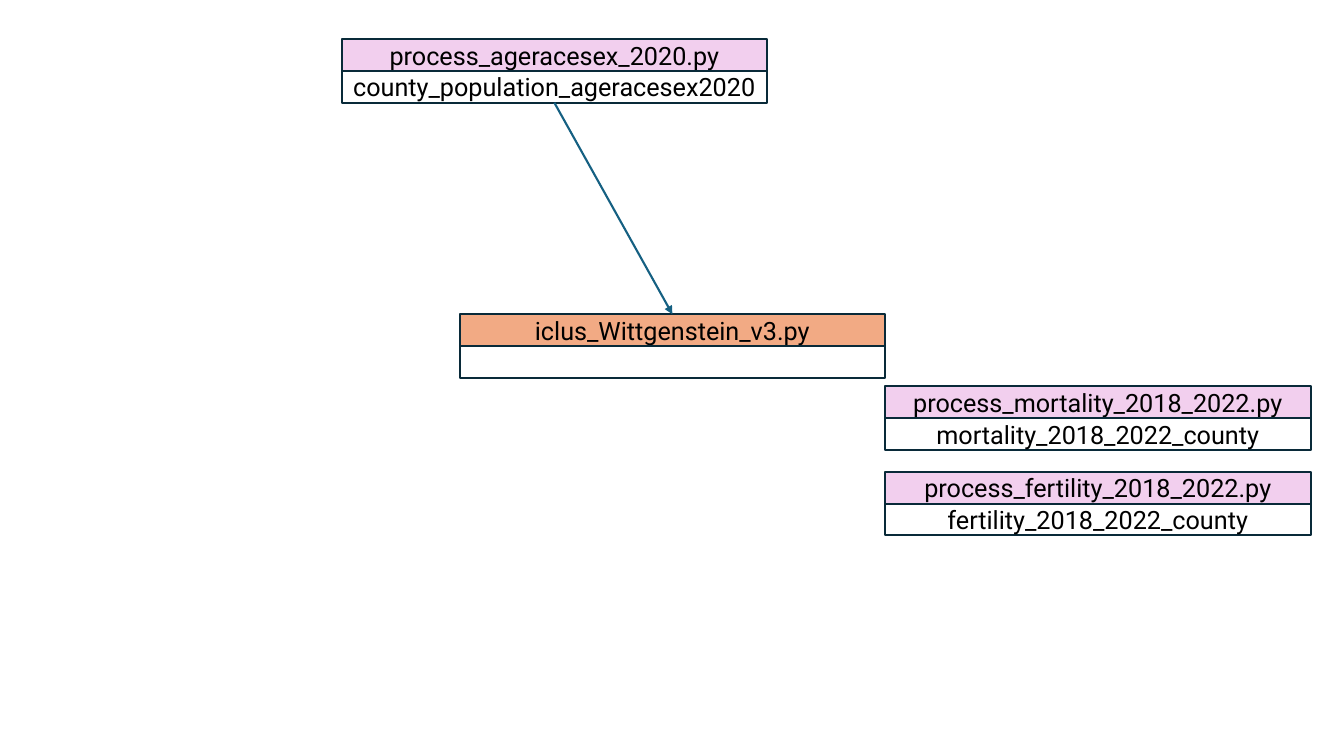
from typing import NamedTuple

from lxml import etree
from pptx import Presentation
from pptx.dml.color import RGBColor
from pptx.enum.shapes import MSO_CONNECTOR, MSO_SHAPE
from pptx.enum.text import MSO_ANCHOR, PP_ALIGN
from pptx.oxml.ns import qn
from pptx.shapes.autoshape import Shape
from pptx.shapes.connector import Connector
from pptx.shapes.shapetree import GroupShapes, SlideShapes
from pptx.util import Pt

RECT = MSO_SHAPE.RECTANGLE
STRAIGHT = MSO_CONNECTOR.STRAIGHT
MIDDLE = MSO_ANCHOR.MIDDLE
CENTER = PP_ALIGN.CENTER
TOP, BOTTOM = 0, 2

FONT = "Roboto"
FONT_SIZE = 18
LINE_WIDTH = 1.5
BOX_WIDTH = 304
ROW_HEIGHT = 22.7

BLACK = "000000"
OUTLINE = "092A39"
ARROW = "156082"
PINK = "F2CFEE"
ORANGE = "F2AA84"


class ScriptBox(NamedTuple):
    left: float
    top: float
    script: str
    output: str
    fill: str


POPULATION = ScriptBox(244, 28, "process_ageracesex_2020.py",
                       "county_population_ageracesex2020", PINK)
MODEL = ScriptBox(328.3, 224.5, "iclus_Wittgenstein_v3.py", "", ORANGE)
FERTILITY = ScriptBox(632.2, 337, "process_fertility_2018_2022.py",
                      "fertility_2018_2022_county", PINK)
MORTALITY = ScriptBox(632.2, 276, "process_mortality_2018_2022.py",
                      "mortality_2018_2022_county", PINK)


def rgb(color: str) -> RGBColor:
    return RGBColor.from_string(color)


def add_row(shapes: GroupShapes, left: float, top: float, text: str,
            fill: str = "") -> Shape:
    """Add one outlined row; without a fill colour it stays transparent."""
    sp = shapes.add_shape(RECT, Pt(left), Pt(top), Pt(BOX_WIDTH), Pt(ROW_HEIGHT))
    sp.shadow.inherit = False
    if fill:
        sp.fill.solid()
        sp.fill.fore_color.rgb = rgb(fill)
    else:
        sp.fill.background()
    sp.line.color.rgb = rgb(OUTLINE)
    sp.line.width = Pt(LINE_WIDTH)
    if text:
        tf = sp.text_frame
        tf.text = text
        tf.word_wrap = False
        tf.vertical_anchor = MIDDLE
        p = tf.paragraphs[0]
        p.alignment = CENTER
        font = p.runs[0].font
        font.name = FONT
        font.size = Pt(FONT_SIZE)
        font.color.rgb = rgb(BLACK)
    return sp


def add_script_box(shapes: SlideShapes, box: ScriptBox) -> tuple[Shape, Shape]:
    """Add a group of a script row above its output row, and return both rows."""
    rows = shapes.add_group_shape().shapes
    header = add_row(rows, box.left, box.top, box.script, box.fill)
    output = add_row(rows, box.left, box.top + ROW_HEIGHT, box.output)
    return header, output


def add_arrow(shapes: SlideShapes, source: Shape, target: Shape) -> Connector:
    """Join the bottom of source to the top of target."""
    arrow = shapes.add_connector(STRAIGHT, Pt(0), Pt(0), Pt(0), Pt(0))
    arrow.begin_connect(source, BOTTOM)
    arrow.end_connect(target, TOP)
    arrow.line.color.rgb = rgb(ARROW)
    arrow.line.width = Pt(LINE_WIDTH)
    ln = arrow.line._get_or_add_ln()
    etree.SubElement(ln, qn("a:tailEnd"), type="triangle")
    etree.SubElement(arrow._element.spPr, qn("a:effectLst"))
    return arrow


def main() -> None:
    prs = Presentation()
    prs.slide_width = Pt(960)
    prs.slide_height = Pt(540)
    s = prs.slides.add_slide(prs.slide_layouts[6])

    _, population_output = add_script_box(s.shapes, POPULATION)
    model_header, _ = add_script_box(s.shapes, MODEL)
    add_arrow(s.shapes, population_output, model_header)
    for box in (FERTILITY, MORTALITY):
        add_script_box(s.shapes, box)

    prs.save("out.pptx")


if __name__ == "__main__":
    main()
